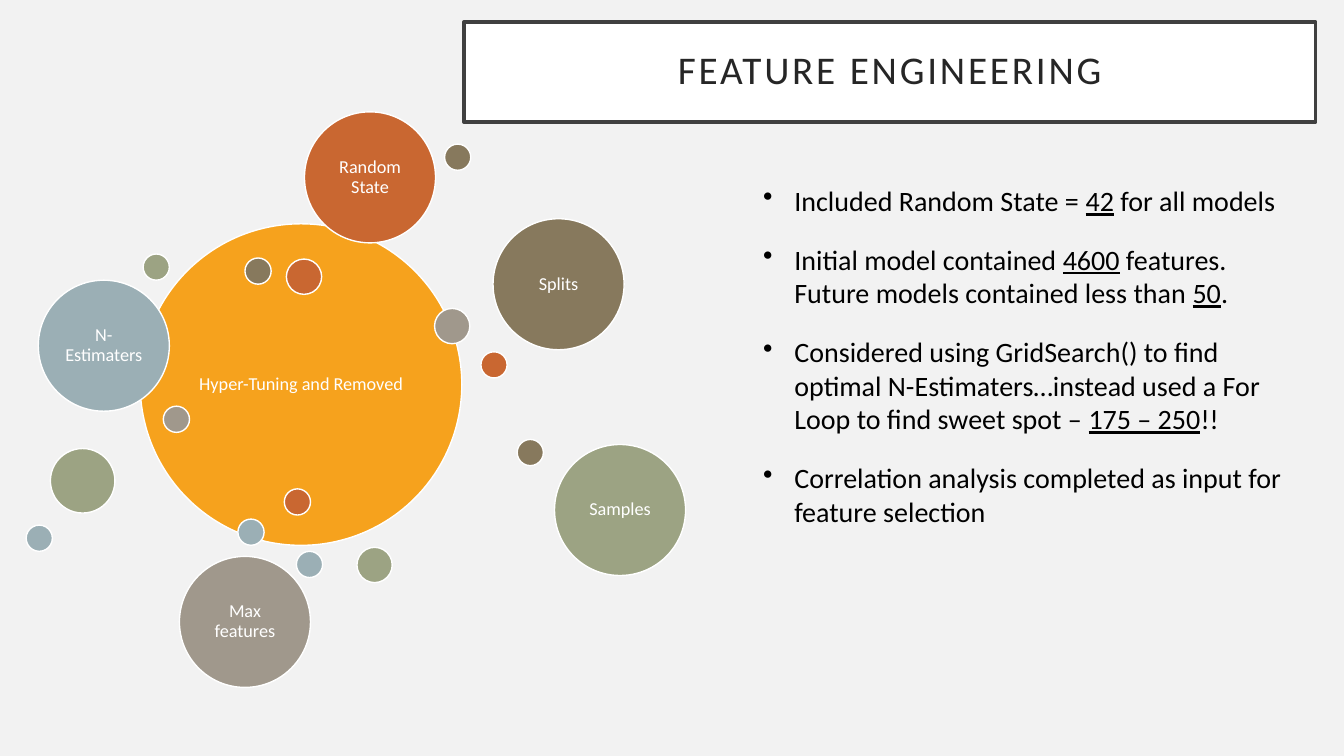
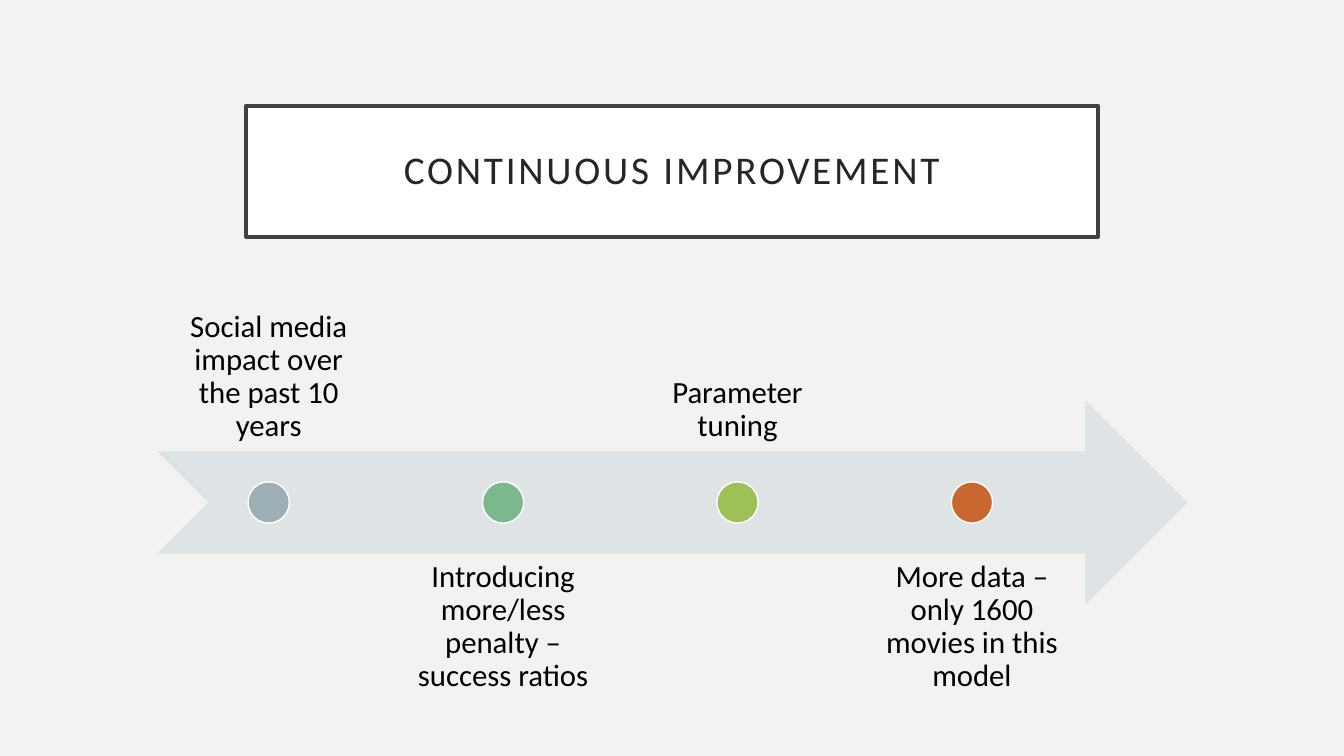
from dataclasses import dataclass
from typing import NamedTuple

from lxml import etree
from pptx import Presentation
from pptx.dml.color import RGBColor
from pptx.enum.shapes import MSO_SHAPE
from pptx.enum.text import MSO_ANCHOR, PP_ALIGN
from pptx.oxml.ns import qn
from pptx.util import Inches, Pt

RECTANGLE = MSO_SHAPE.RECTANGLE
ELLIPSE = MSO_SHAPE.OVAL
NOTCHED_ARROW = MSO_SHAPE.NOTCHED_RIGHT_ARROW
TOP, MIDDLE, BOTTOM = MSO_ANCHOR.TOP, MSO_ANCHOR.MIDDLE, MSO_ANCHOR.BOTTOM
LEFT, CENTER = PP_ALIGN.LEFT, PP_ALIGN.CENTER


@dataclass(frozen=True)
class Theme:
    font: str = "Calibri"
    page: str = "F2F2F2"
    white: str = "FFFFFF"
    black: str = "000000"
    title_text: str = "262626"
    title_border: str = "404040"
    amber: str = "F6A21D"
    mist: str = "9BAFB5"
    rust: str = "C96731"
    sage: str = "9CA383"
    olive: str = "87795D"
    taupe: str = "A0988C"
    green: str = "7BB88C"
    lime: str = "9FC057"
    arrow: str = "DEE3E5"
    title_size: float = 28
    bullet_size: float = 20
    bubble_size: float = 13
    step_size: float = 22


class Box(NamedTuple):
    """A rectangle in inches."""
    left: float
    top: float
    width: float
    height: float

    def inside(self, left, top, width, height):
        """Return a box whose offset is measured from this one."""
        return Box(self.left + left, self.top + top, width, height)

    def lengths(self):
        return [Inches(value) for value in self]


THEME = Theme()
PAGE_WIDTH, PAGE_HEIGHT = 13.33, 7.5

DOT, SPOT, DISC, PLANET, HUB = 0.26, 0.35, 0.64, 1.3, 3.19
# left and top within the cluster, diameter, colour, label
BUBBLES = [
    (1.13, 1.11, HUB, THEME.amber, "Hyper-Tuning and Removed"),
    (2.10, 4.04, DOT, THEME.mist, ""),
    (4.51, 2.38, DOT, THEME.rust, ""),
    (3.28, 4.32, SPOT, THEME.sage, ""),
    (2.17, 1.45, DOT, THEME.olive, ""),
    (1.36, 2.92, DOT, THEME.taupe, ""),
    (0.12, 1.67, PLANET, THEME.mist, "N-Estimaters"),
    (2.58, 1.46, SPOT, THEME.rust, ""),
    (0.24, 3.34, DISC, THEME.sage, ""),
    (4.63, 1.06, PLANET, THEME.olive, "Splits"),
    (4.05, 1.95, SPOT, THEME.taupe, ""),
    (0, 4.10, DOT, THEME.mist, ""),
    (2.56, 3.74, DOT, THEME.rust, ""),
    (5.24, 3.30, PLANET, THEME.sage, "Samples"),
    (4.87, 3.25, DOT, THEME.olive, ""),
    (1.52, 4.41, PLANET, THEME.taupe, "Max features"),
    (2.68, 4.36, DOT, THEME.mist, ""),
    (2.76, 0, PLANET, THEME.rust, "Random State"),
    (1.16, 1.41, DOT, THEME.sage, ""),
    (4.15, 0.32, DOT, THEME.olive, ""),
]

# Each bullet is a list of spans; every second span is underlined.
BULLETS = [
    ["Included Random State = ", "42", " for all models"],
    ["Initial model contained ", "4600",
     " features. Future models contained less than ", "50", "."],
    ["Considered using GridSearch() to find optimal N-Estimaters…instead used "
     "a For Loop to find sweet spot – ", "175 – 250", "!!"],
    ["Correlation analysis completed as input for feature selection"],
]

STEPS = [
    ("Social media impact over the past 10 years", THEME.mist),
    ("Introducing more/less penalty – success ratios", THEME.green),
    ("Parameter tuning", THEME.lime),
    ("More data – only 1600 movies in this model", THEME.rust),
]


def color(value):
    return RGBColor.from_string(value)


def add_figure(page, kind, box, fill, line=None, line_width=1):
    figure = page.shapes.add_shape(kind, *box.lengths())
    figure.shadow.inherit = False
    figure.fill.solid()
    figure.fill.fore_color.rgb = color(fill)
    if line:
        figure.line.color.rgb = color(line)
        figure.line.width = Pt(line_width)
    else:
        figure.line.fill.background()
    return figure


def set_frame(shape, anchor, inset_x, inset_y):
    frame = shape.text_frame
    frame.word_wrap = True
    frame.vertical_anchor = anchor
    frame.margin_left = frame.margin_right = Inches(inset_x)
    frame.margin_top = frame.margin_bottom = Inches(inset_y)
    return frame


def add_span(para, text, size, ink):
    span = para.add_run()
    span.text = text
    span.font.name = THEME.font
    span.font.size = Pt(size)
    span.font.color.rgb = color(ink)
    return span


def write_centered(shape, text, size, ink, anchor=MIDDLE, inset=0.05):
    para = set_frame(shape, anchor, inset, inset).paragraphs[0]
    para.alignment = CENTER
    para.line_spacing = 0.9
    return add_span(para, text, size, ink)


def add_page(deck, title, title_box):
    page = deck.slides.add_slide(deck.slide_layouts[6])
    page.background.fill.solid()
    page.background.fill.fore_color.rgb = color(THEME.page)
    banner = add_figure(page, RECTANGLE, title_box, THEME.white,
                        THEME.title_border, 2.5)
    span = write_centered(banner, title, THEME.title_size, THEME.title_text,
                          inset=0.2)
    span.font._element.set("spc", "200")
    return page


def add_bubble_cluster(page, box):
    for left, top, diameter, fill, label in BUBBLES:
        bubble = add_figure(page, ELLIPSE,
                            box.inside(left, top, diameter, diameter),
                            fill, THEME.white)
        if label:
            write_centered(bubble, label, THEME.bubble_size, THEME.white)


def add_bullet_list(page, box):
    frame = set_frame(page.shapes.add_textbox(*box.lengths()), TOP, 0.1, 0.05)
    for index, spans in enumerate(BULLETS):
        para = frame.add_paragraph() if index else frame.paragraphs[0]
        para.alignment = LEFT
        para.space_after = Pt(18)
        properties = para._p.get_or_add_pPr()
        properties.set("marL", str(Inches(0.31)))
        properties.set("indent", str(-Inches(0.31)))
        etree.SubElement(properties, qn("a:buChar")).set("char", "•")
        for position, text in enumerate(spans):
            span = add_span(para, text, THEME.bullet_size, THEME.black)
            span.font.underline = position % 2 == 1


def add_timeline(page, box):
    """Draw the arrow at mid-height, with labels above and below in turn."""
    arrow_height, label_width, label_height, marker = 2.03, 2.21, 1.64, 0.41
    pitch = 2.325
    middle = box.height / 2 + 0.005
    add_figure(page, NOTCHED_ARROW,
               box.inside(0, middle - arrow_height / 2, box.width,
                          arrow_height), THEME.arrow)
    for index, (text, fill) in enumerate(STEPS):
        above = index % 2 == 0
        left = index * pitch
        label_top = 0 if above else box.height - label_height
        label = page.shapes.add_textbox(
            *box.inside(left, label_top, label_width, label_height).lengths())
        write_centered(label, text, THEME.step_size, THEME.black,
                       BOTTOM if above else TOP, 0.17)
        add_figure(page, ELLIPSE,
                   box.inside(left + (label_width - marker) / 2,
                              middle - marker / 2, marker, marker),
                   fill, THEME.white)


def build_feature_page(deck):
    page = add_page(deck, "FEATURE ENGINEERING", Box(4.6, 0.22, 8.45, 0.99))
    add_bubble_cluster(page, Box(0.26, 1.11, 6.54, 5.71))
    add_bullet_list(page, Box(7.47, 1.77, 5.59, 3.55))


def build_improvement_page(deck):
    page = add_page(deck, "CONTINUOUS IMPROVEMENT", Box(2.44, 1.05, 8.45, 1.3))
    add_timeline(page, Box(1.56, 2.93, 10.22, 4.1))


def main():
    deck = Presentation()
    deck.slide_width = Inches(PAGE_WIDTH)
    deck.slide_height = Inches(PAGE_HEIGHT)
    build_feature_page(deck)
    build_improvement_page(deck)
    deck.save("out.pptx")


if __name__ == "__main__":
    main()
